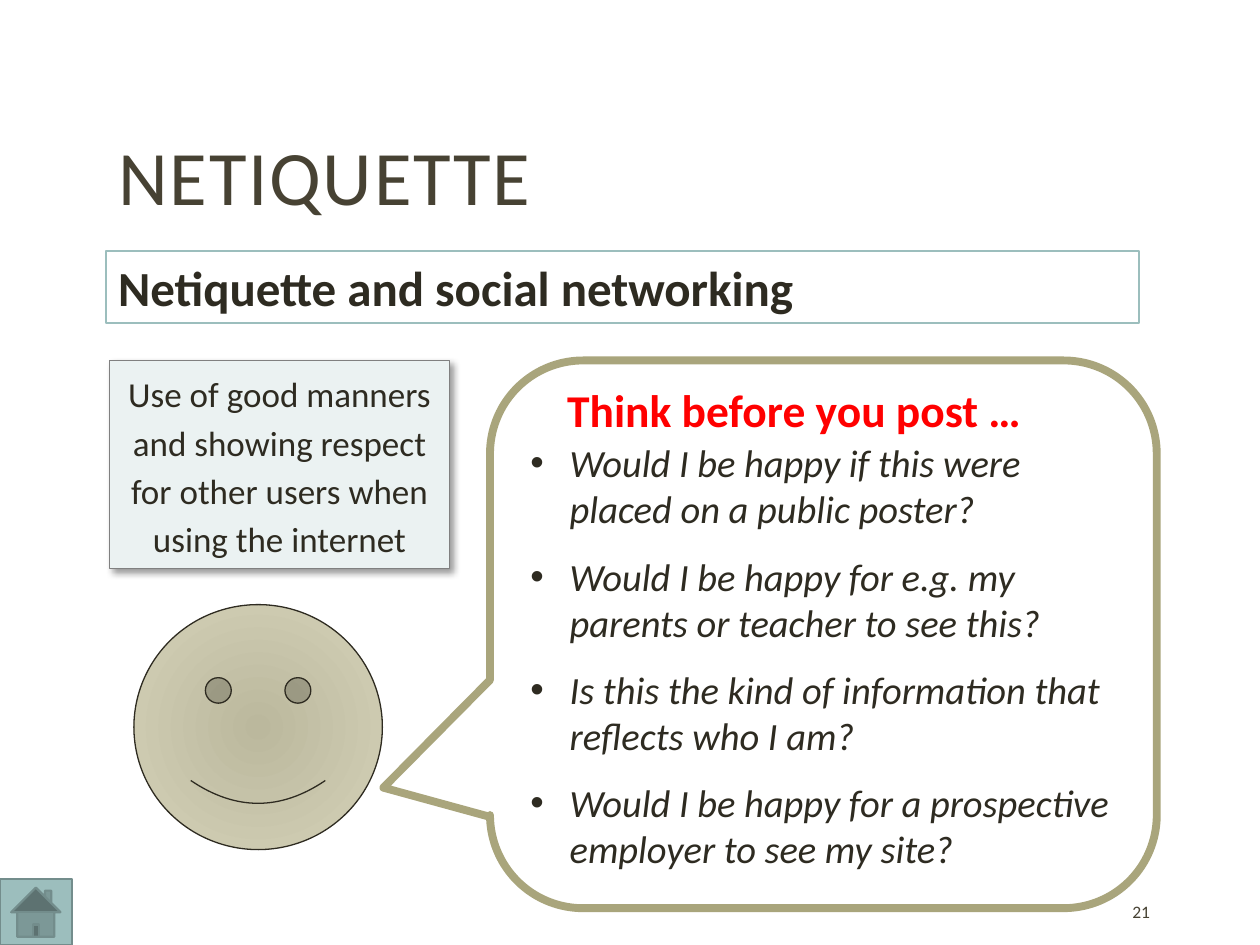
from dataclasses import dataclass
from typing import Optional

import pptx
import pptx.dml.color
import pptx.enum.shapes
import pptx.enum.text
import pptx.oxml
import pptx.oxml.ns
import pptx.util
from lxml import etree

Pt = pptx.util.Pt
SHAPE = pptx.enum.shapes.MSO_SHAPE
ALIGN = pptx.enum.text.PP_ALIGN
ANCHOR = pptx.enum.text.MSO_ANCHOR
FIT = pptx.enum.text.MSO_AUTO_SIZE
qn = pptx.oxml.ns.qn

FONT = "Calibri"
COLORS = {
    "title": "474233", "text": "2E2B21", "warning": "FF0000", "white": "FFFFFF",
    "teal": "9CBEBD", "dark_teal": "738D8C", "pale_teal": "EBF2F2",
    "grey": "808080", "khaki": "A9A57C", "face_in": "BBB89D",
    "face_out": "D5D2B9", "shadow": "000000",
}


@dataclass
class Box:
    left: float
    top: float
    width: float
    height: float

    def lengths(self) -> list:
        return [Pt(v) for v in (self.left, self.top, self.width, self.height)]


@dataclass
class Style:
    size: float
    color: str = "text"
    bold: bool = False
    italic: bool = False
    align: ALIGN = ALIGN.LEFT
    spacing: float = 1.0
    after: float = 0
    bullet: bool = False


def rgb(name: str):
    return pptx.dml.color.RGBColor.from_string(COLORS[name])


def write(s, lines: list[str], style: Style, anchor=ANCHOR.TOP, fit=FIT.SHAPE_TO_FIT_TEXT) -> None:
    tf = s.text_frame
    tf.text = "\n".join(lines)
    tf.word_wrap = True
    tf.vertical_anchor = anchor
    tf.auto_size = fit
    for p in tf.paragraphs:
        p.alignment = style.align
        p.line_spacing = style.spacing
        p.space_before = Pt(0)
        p.space_after = Pt(0 if p is tf.paragraphs[-1] and style.bullet else style.after)
        if style.bullet:
            add_bullet(p)
        for r in p.runs:
            r.font.name = FONT
            r.font.size = Pt(style.size)
            r.font.bold = style.bold
            r.font.italic = style.italic
            r.font.color.rgb = rgb(style.color)
    if style.bullet:
        tf.paragraphs[-1].space_after = Pt(0)


def add_bullet(p) -> None:
    pPr = p._p.get_or_add_pPr()
    pPr.set("marL", str(Pt(22.5)))
    pPr.set("indent", str(-Pt(22.5)))
    etree.SubElement(pPr, qn("a:buFont"), typeface="Arial")
    etree.SubElement(pPr, qn("a:buChar"), char="•")


def add_text(slide, box: Box, lines: list[str], style: Style, **options) -> None:
    write(slide.shapes.add_textbox(*box.lengths()), lines, style, **options)


def add_shape(slide, kind, box: Box, fill: Optional[str], line: str, weight: float):
    s = slide.shapes.add_shape(kind, *box.lengths())
    s.shadow.inherit = False
    if fill:
        s.fill.solid()
        s.fill.fore_color.rgb = rgb(fill)
    else:
        s.fill.background()
    s.line.color.rgb = rgb(line)
    s.line.width = Pt(weight)
    return s


def add_shadow(s) -> None:
    effects = s._element.spPr.find(qn("a:effectLst"))
    shadow = etree.SubElement(effects, qn("a:outerShdw"), blurRad=str(Pt(4)),
                              dist=str(Pt(3)), dir="2700000", algn="tl", rotWithShape="0")
    color = etree.SubElement(shadow, qn("a:srgbClr"), val=COLORS["shadow"])
    etree.SubElement(color, qn("a:alpha"), val="40000")


def fill_radial(s, inner: str, outer: str) -> None:
    s.fill.gradient()
    for stop, name, position in zip(s.fill.gradient_stops, (inner, outer), (0, 1)):
        stop.color.rgb = rgb(name)
        stop.position = position
    grad = s._element.spPr.find(qn("a:gradFill"))
    linear = grad.find(qn("a:lin"))
    radial = etree.Element(qn("a:path"), path="circle")
    etree.SubElement(radial, qn("a:fillToRect"), l="50000", t="50000", r="50000", b="50000")
    grad.replace(linear, radial)


def main() -> None:
    prs = pptx.Presentation()
    prs.slide_width, prs.slide_height = Pt(720), Pt(540)
    slide = prs.slides.add_slide(prs.slide_layouts[5])

    title = slide.shapes.title
    title.left, title.top, title.width, title.height = Box(60.5, 46, 574, 118).lengths()
    write(title, ["NETIQUETTE"], Style(44, "title", spacing=0.8), ANCHOR.MIDDLE, FIT.NONE)
    title.text_frame.paragraphs[0].runs[0].font._element.set("spc", "100")

    subtitle = add_shape(slide, SHAPE.RECTANGLE, Box(60.5, 143.5, 590.5, 41), "white", "teal", 1.25)
    write(subtitle, ["Netiquette and social networking"], Style(28, bold=True))

    definition = add_shape(slide, SHAPE.RECTANGLE, Box(62.5, 206, 194.5, 119),
                           "pale_teal", "grey", 0.75)
    add_shadow(definition)
    write(definition, ["Use of good manners and showing respect for other users when using the internet"],
          Style(20, align=ALIGN.CENTER, spacing=1.15, after=6))

    add_text(slide, Box(317, 214.5, 306, 39), ["Think before you post …"],
             Style(26, "warning", bold=True))
    add_text(slide, Box(296, 247.5, 348.5, 257), [
        "Would I be happy if this were placed on a public poster?",
        "Would I be happy for e.g. my parents or teacher to see this?",
        "Is this the kind of information that reflects who I am?",
        "Would I be happy for a prospective employer to see my site?",
    ], Style(22, italic=True, after=12, bullet=True))

    callout = add_shape(slide, SHAPE.ROUNDED_RECTANGULAR_CALLOUT, Box(280, 206, 381, 313),
                        None, "khaki", 4.5)
    for i, value in enumerate((-0.66, 0.28, 0.17)):
        callout.adjustments[i] = value

    face = add_shape(slide, SHAPE.SMILEY_FACE, Box(76.5, 345.5, 142, 140), None, "text", 0.75)
    fill_radial(face, "face_in", "face_out")

    add_text(slide, Box(640, 510, 57.5, 21.5), ["21"], Style(10, "title"),
             anchor=ANCHOR.MIDDLE, fit=FIT.NONE)
    add_shape(slide, SHAPE.ACTION_BUTTON_HOME, Box(0, 502.5, 41, 37.5), "teal", "dark_teal", 1.25)

    prs.save("out.pptx")


if __name__ == "__main__":
    main()
